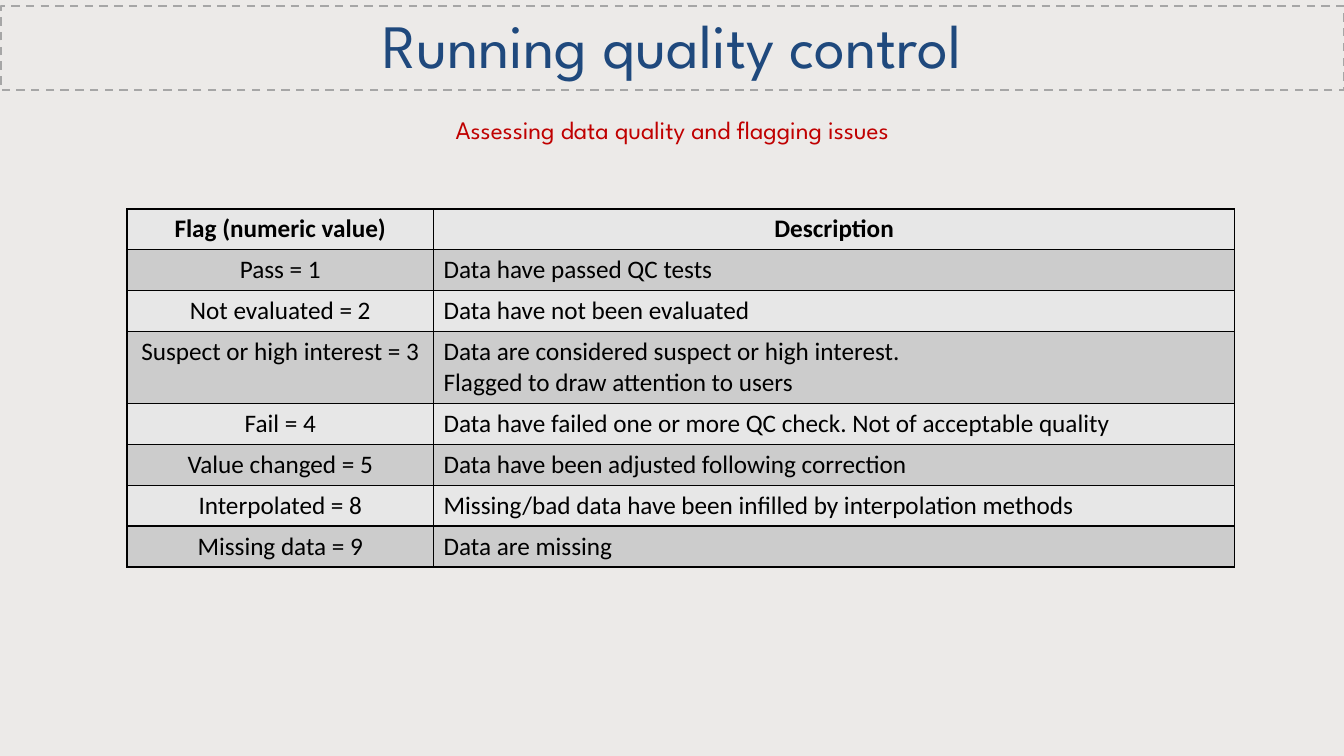
from dataclasses import dataclass

from lxml.etree import SubElement
from pptx import Presentation
from pptx.dml.color import RGBColor
from pptx.enum.dml import MSO_LINE
from pptx.enum.shapes import MSO_SHAPE
from pptx.enum.text import MSO_ANCHOR, PP_ALIGN
from pptx.oxml.ns import qn
from pptx.shapes.autoshape import Shape
from pptx.slide import Slide
from pptx.table import _Cell
from pptx.text.text import TextFrame, _Paragraph
from pptx.util import Emu, Pt

EMU_PER_PX = 9525
PAGE_WIDTH, PAGE_HEIGHT = 1280, 720

WASH = RGBColor(0x82, 0x76, 0x6A)
FRAME_GREY = RGBColor(0xA6, 0xA6, 0xA6)
TITLE_BLUE = RGBColor(0x1F, 0x49, 0x7D)
SUBTITLE_RED = RGBColor(0xC0, 0x00, 0x00)
BLACK = RGBColor(0x00, 0x00, 0x00)
BANDS = (RGBColor(0xE7, 0xE7, 0xE7), RGBColor(0xCC, 0xCC, 0xCC))

HEADING_FONT = "League Spartan"
TABLE_FONT = "Calibri"
COLUMN_WIDTHS = (292, 763)
ROW_HEIGHT = 39
EXTRA_LINE_HEIGHT = 29


@dataclass(frozen=True)
class Area:
    left: int
    top: int
    width: int
    height: int

    def emu(self) -> tuple[Emu, Emu, Emu, Emu]:
        return px(self.left), px(self.top), px(self.width), px(self.height)


@dataclass(frozen=True)
class TextStyle:
    font: str
    size: int
    color: RGBColor
    bold: bool = False


@dataclass(frozen=True)
class FlagRow:
    flag: str
    description: tuple[str, ...]


TITLE_STYLE = TextStyle(HEADING_FONT, 44, TITLE_BLUE)
SUBTITLE_STYLE = TextStyle(HEADING_FONT, 18, SUBTITLE_RED)
HEADER_STYLE = TextStyle(TABLE_FONT, 18, BLACK, bold=True)
BODY_STYLE = TextStyle(TABLE_FONT, 18, BLACK)

FLAG_ROWS = (
    FlagRow("Flag (numeric value)", ("Description",)),
    FlagRow("Pass = 1", ("Data have passed QC tests",)),
    FlagRow("Not evaluated = 2", ("Data have not been evaluated",)),
    FlagRow(
        "Suspect or high interest = 3",
        ("Data are considered suspect or high interest.", "Flagged to draw attention to users"),
    ),
    FlagRow("Fail = 4", ("Data have failed one or more QC check. Not of acceptable quality",)),
    FlagRow("Value changed = 5", ("Data have been adjusted following correction",)),
    FlagRow("Interpolated = 8", ("Missing/bad data have been infilled by interpolation methods",)),
    FlagRow("Missing data = 9", ("Data are missing",)),
)


def px(length: int) -> Emu:
    return Emu(length * EMU_PER_PX)


def write_line(para: _Paragraph, text: str, style: TextStyle, align: PP_ALIGN) -> None:
    para.alignment = align
    span = para.add_run()
    span.text = text
    span.font.name = style.font
    span.font.size = Pt(style.size)
    span.font.bold = style.bold
    span.font.color.rgb = style.color


def write_lines(frame: TextFrame, lines: tuple[str, ...], style: TextStyle, align: PP_ALIGN) -> None:
    for index, line in enumerate(lines):
        para = frame.add_paragraph() if index else frame.paragraphs[0]
        write_line(para, line, style, align)


def add_rectangle(page: Slide, area: Area) -> Shape:
    box = page.shapes.add_shape(MSO_SHAPE.RECTANGLE, *area.emu())
    box.shadow.inherit = False
    return box


def add_wash(page: Slide) -> None:
    """Tint the whole page with a 15 % opaque rectangle."""
    box = add_rectangle(page, Area(0, 0, PAGE_WIDTH, PAGE_HEIGHT))
    box.line.fill.background()
    box.fill.solid()
    box.fill.fore_color.rgb = WASH
    color = box.fill._xPr.find(qn("a:solidFill"))[0]
    SubElement(color, qn("a:alpha"), val="15000")


def add_title(page: Slide, text: str) -> None:
    box = add_rectangle(page, Area(1, 6, 1279, 80))
    box.fill.background()
    box.line.color.rgb = FRAME_GREY
    box.line.width = Pt(1.5)
    box.line.dash_style = MSO_LINE.DASH
    frame = box.text_frame
    frame.word_wrap = True
    frame.vertical_anchor = MSO_ANCHOR.MIDDLE
    para = frame.paragraphs[0]
    para.line_spacing = 0.9
    write_line(para, text, TITLE_STYLE, PP_ALIGN.CENTER)


def add_subtitle(page: Slide, text: str) -> None:
    box = page.shapes.add_textbox(*Area(1, 104, 1279, 38).emu())
    box.text_frame.word_wrap = True
    write_line(box.text_frame.paragraphs[0], text, SUBTITLE_STYLE, PP_ALIGN.CENTER)


def outline_cell(cell: _Cell) -> None:
    """Put the borders before the fill, as the cell schema requires."""
    properties = cell._tc.get_or_add_tcPr()
    for index, side in enumerate(("a:lnL", "a:lnR", "a:lnT", "a:lnB")):
        border = SubElement(properties, qn(side), w=str(Pt(1)))
        fill = SubElement(border, qn("a:solidFill"))
        SubElement(fill, qn("a:srgbClr"), val=str(BLACK))
        properties.insert(index, border)


def add_flag_table(page: Slide) -> None:
    heights = [ROW_HEIGHT + EXTRA_LINE_HEIGHT * (len(row.description) - 1) for row in FLAG_ROWS]
    area = Area(121, 199, sum(COLUMN_WIDTHS), sum(heights))
    table = page.shapes.add_table(len(FLAG_ROWS), len(COLUMN_WIDTHS), *area.emu()).table
    for column, width in zip(table.columns, COLUMN_WIDTHS):
        column.width = px(width)
    for index, (row, height) in enumerate(zip(FLAG_ROWS, heights)):
        table.rows[index].height = px(height)
        is_header = index == 0
        style = HEADER_STYLE if is_header else BODY_STYLE
        description_align = PP_ALIGN.CENTER if is_header else PP_ALIGN.LEFT
        contents = (((row.flag,), PP_ALIGN.CENTER), (row.description, description_align))
        for cell, (lines, align) in zip(table.rows[index].cells, contents):
            cell.fill.solid()
            cell.fill.fore_color.rgb = BANDS[index % 2]
            outline_cell(cell)
            write_lines(cell.text_frame, lines, style, align)


def main() -> None:
    deck = Presentation()
    deck.slide_width, deck.slide_height = px(PAGE_WIDTH), px(PAGE_HEIGHT)
    page = deck.slides.add_slide(deck.slide_layouts[6])
    add_wash(page)
    add_title(page, "Running quality control")
    add_flag_table(page)
    add_subtitle(page, "Assessing data quality and flagging issues")
    deck.save("out.pptx")


if __name__ == "__main__":
    main()
